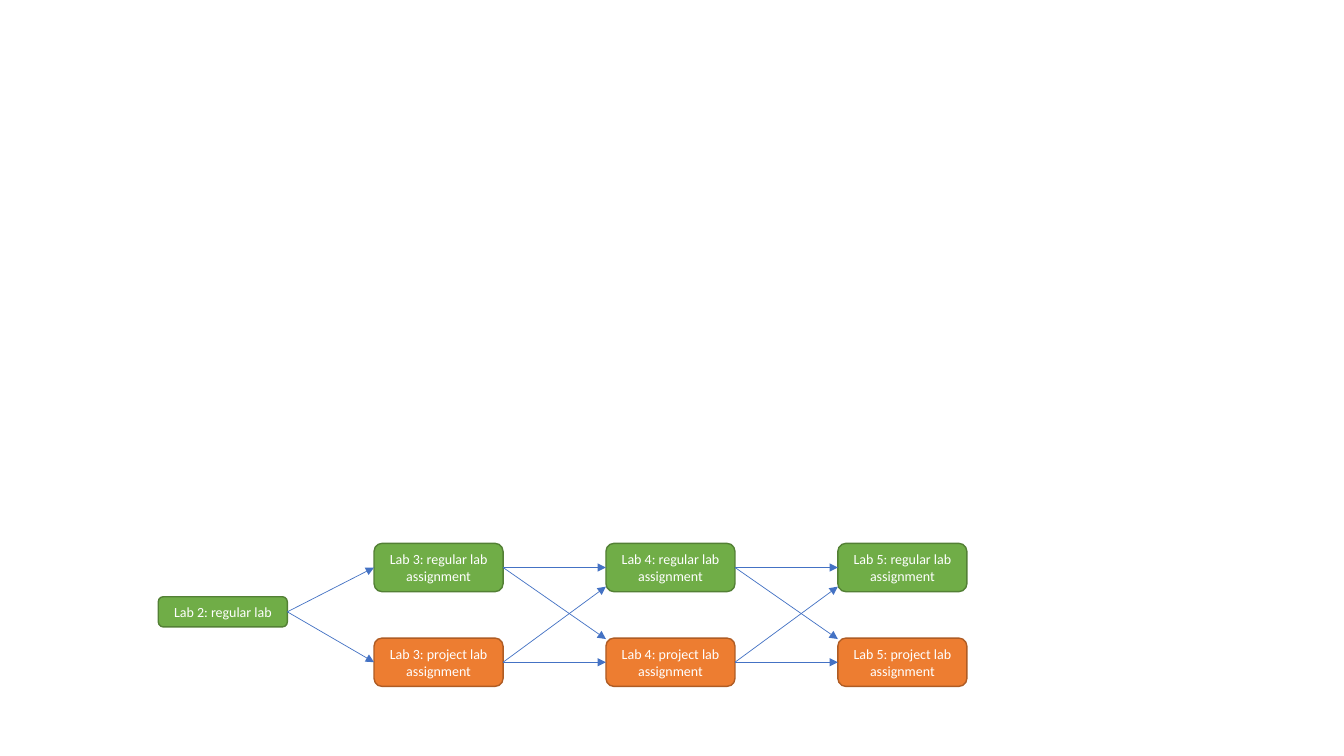
from dataclasses import dataclass

from lxml.etree import SubElement
from pptx import Presentation
from pptx.dml.color import RGBColor as RGB
from pptx.enum.shapes import MSO_CONNECTOR as CONNECTOR, MSO_SHAPE as SHAPE
from pptx.enum.text import MSO_ANCHOR as ANCHOR, MSO_AUTO_SIZE as FIT, PP_ALIGN as ALIGN
from pptx.oxml.ns import qn
from pptx.util import Emu, Pt


@dataclass(frozen=True)
class Theme:
    regular: tuple = (RGB(0x70, 0xAD, 0x47), RGB(0x53, 0x80, 0x35))
    project: tuple = (RGB(0xED, 0x7D, 0x31), RGB(0xAF, 0x5C, 0x24))
    arrow: RGB = RGB(0x44, 0x72, 0xC4)
    text: RGB = RGB(0xFF, 0xFF, 0xFF)
    font: str = "Calibri"
    size: int = 10
    border: float = 1
    arrow_width: float = 0.5


theme = Theme()
PX = 9144
LAB_WIDTH, LAB_HEIGHT = 128, 48
FIRST_LEFT, COLUMN_STEP = 371, 230
REGULAR_TOP, PROJECT_TOP = 539, 633
LEFT_SIDE, RIGHT_SIDE = 1, 3


def add_lab(text, *, left, top, colors, height=LAB_HEIGHT):
    lab = slide.shapes.add_shape(
        SHAPE.ROUNDED_RECTANGLE, left * PX, top * PX, LAB_WIDTH * PX, height * PX
    )
    lab.shadow.inherit = False
    fill, border = colors
    lab.fill.solid()
    lab.fill.fore_color.rgb = fill
    lab.line.color.rgb = border
    lab.line.width = Pt(theme.border)
    frame = lab.text_frame
    frame.word_wrap = True
    frame.auto_size = FIT.SHAPE_TO_FIT_TEXT
    frame.vertical_anchor = ANCHOR.MIDDLE
    paragraph = frame.paragraphs[0]
    paragraph.alignment = ALIGN.CENTER
    run = paragraph.add_run()
    run.text = text
    run.font.name = theme.font
    run.font.size = Pt(theme.size)
    run.font.color.rgb = theme.text
    return lab


def add_arrow(start, end, corner_y=None):
    arrow = slide.shapes.add_connector(CONNECTOR.STRAIGHT, 0, 0, 0, 0)
    arrow.begin_connect(start, RIGHT_SIDE)
    if corner_y is None:
        arrow.end_connect(end, LEFT_SIDE)
    else:
        arrow.end_x, arrow.end_y = end.left, Emu(corner_y * PX)
    arrow.line.color.rgb = theme.arrow
    arrow.line.width = Pt(theme.arrow_width)
    SubElement(arrow.line._get_or_add_ln(), qn("a:tailEnd"), type="triangle")
    SubElement(arrow._element.spPr, qn("a:effectLst"))


deck = Presentation()
deck.slide_width, deck.slide_height = Emu(1333 * PX), Emu(750 * PX)
slide = deck.slides.add_slide(deck.slide_layouts[6])

first_lab = add_lab("Lab 2: regular lab", left=157, top=592, colors=theme.regular, height=30)

stages = []
for column, number in enumerate((3, 4, 5)):
    left = FIRST_LEFT + column * COLUMN_STEP
    regular = add_lab(
        f"Lab {number}: regular lab assignment", left=left, top=REGULAR_TOP, colors=theme.regular
    )
    project = add_lab(
        f"Lab {number}: project lab assignment", left=left, top=PROJECT_TOP, colors=theme.project
    )
    stages.append((regular, project))

for next_lab in stages[0]:
    add_arrow(first_lab, next_lab)

for (regular, project), (next_regular, next_project) in zip(stages, stages[1:]):
    add_arrow(regular, next_regular)
    add_arrow(project, next_project)
    add_arrow(regular, next_project, corner_y=PROJECT_TOP + 1)
    add_arrow(project, next_regular, corner_y=REGULAR_TOP + LAB_HEIGHT - 5)

deck.save("out.pptx")
